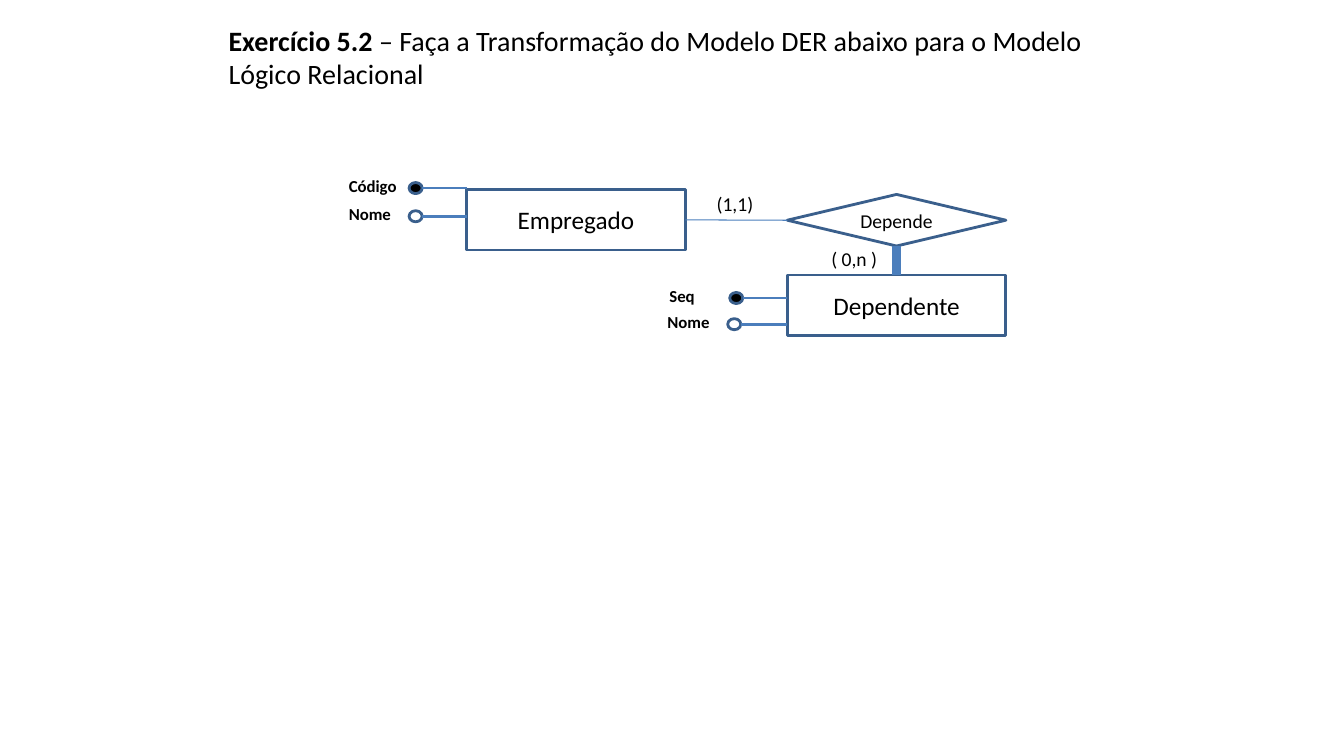
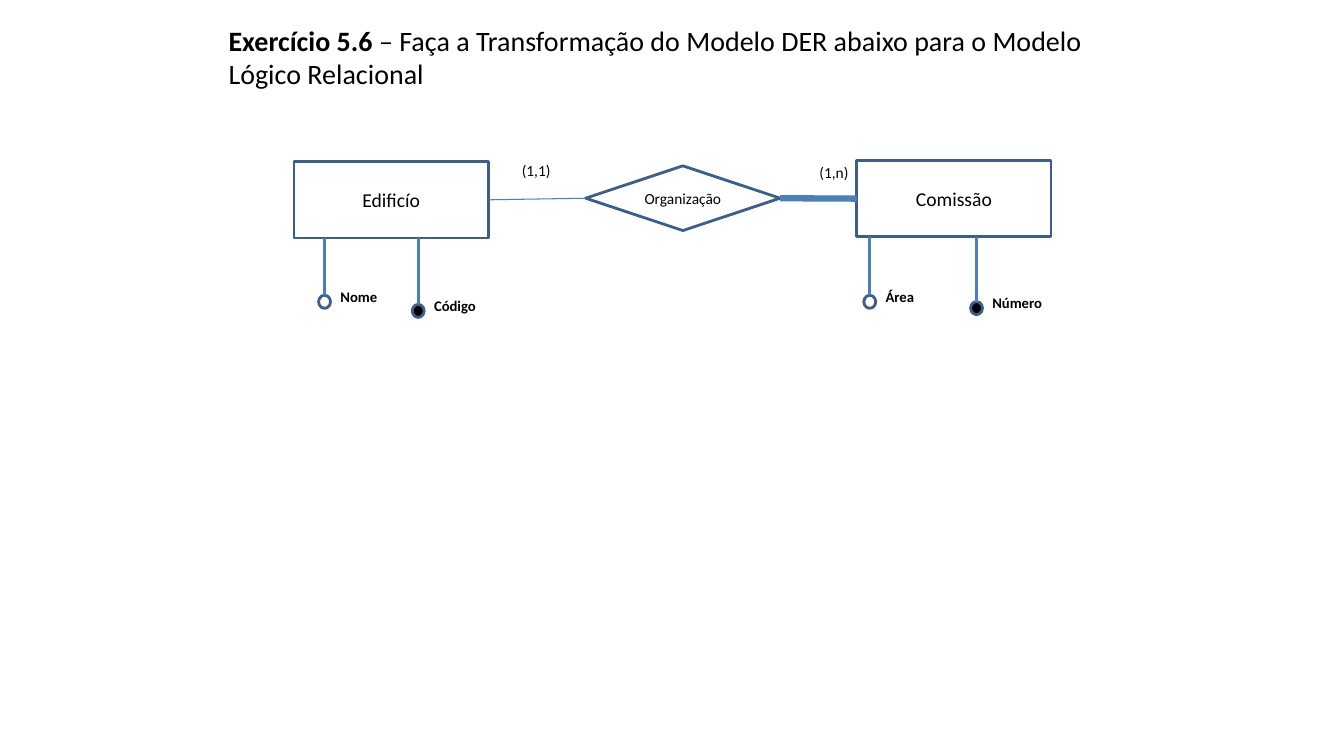
from dataclasses import dataclass

from lxml.etree import SubElement
from pptx import Presentation
from pptx.dml.color import RGBColor
from pptx.enum.shapes import MSO_CONNECTOR, MSO_SHAPE
from pptx.enum.text import MSO_ANCHOR, PP_ALIGN
from pptx.oxml.ns import qn
from pptx.util import Cm, Pt

TOP, LEFT, BOTTOM, RIGHT = range(4)


@dataclass(frozen=True)
class Theme:
    """Colours, font, type sizes and line widths of the deck."""
    font: str = "Calibri"
    ink: RGBColor = RGBColor(0, 0, 0)
    paper: RGBColor = RGBColor(255, 255, 255)
    outline: RGBColor = RGBColor(0x3A, 0x5F, 0x8C)
    link: RGBColor = RGBColor(0x4B, 0x7E, 0xBC)
    title: float = 20
    border: float = 2
    thin: float = 0.75


@dataclass(frozen=True)
class Scale:
    """Type sizes and attribute geometry of one diagram, in points and centimetres."""
    entity: float
    relation: float
    cardinality: float
    attribute: float
    dot: tuple
    label_offset: tuple


THEME = Theme()
SIDE = Scale(18, 14, 14, 12, (0.33, 0.28), (-1.77, -0.3))
BELOW = Scale(14, 11, 11, 10.5, (0.3, 0.33), (0.3, -0.31))


def assign(target, values):
    """Set each named attribute of the target."""
    for name, value in values.items():
        setattr(target, name, value)


def write(para, text, size, bold=False):
    """Append a formatted span to a paragraph."""
    span = para.add_run()
    span.text = text
    assign(span.font, {"name": THEME.font, "size": Pt(size), "bold": bold})
    span.font.color.rgb = THEME.ink


def add_text(page, left, top, width, height, spans, size, anchor=MSO_ANCHOR.TOP):
    """Add a left-aligned text box made of (text, bold) spans."""
    box = page.shapes.add_textbox(Cm(left), Cm(top), Cm(width), Cm(height))
    assign(box.text_frame, {"word_wrap": True, "vertical_anchor": anchor, "margin_right": 0})
    for text, bold in spans:
        write(box.text_frame.paragraphs[0], text, size, bold)


def add_outlined(page, kind, left, top, width, height, fill=None):
    """Add an outlined shape, filled only when a colour is given."""
    shape = page.shapes.add_shape(kind, Cm(left), Cm(top), Cm(width), Cm(height))
    shape.shadow.inherit = False
    shape.line.color.rgb = THEME.outline
    shape.line.width = Pt(THEME.border)
    if fill is None:
        shape.fill.background()
    else:
        shape.fill.solid()
        shape.fill.fore_color.rgb = fill
    return shape


def add_node(page, kind, text, bounds, size):
    """Add an entity or a relationship with its centred name."""
    node = add_outlined(page, kind, *bounds, THEME.paper)
    margins = {f"margin_{side}": 0 for side in ("left", "top", "right", "bottom")}
    assign(node.text_frame, {"word_wrap": True, "vertical_anchor": MSO_ANCHOR.MIDDLE, **margins})
    para = node.text_frame.paragraphs[0]
    para.alignment = PP_ALIGN.CENTER
    write(para, text, size)
    return node


def add_line(page, start, end, width):
    """Add a straight line between two points."""
    line = page.shapes.add_connector(MSO_CONNECTOR.STRAIGHT, *start, *end)
    line.line.color.rgb = THEME.link
    line.line.width = Pt(width)
    SubElement(line._element.spPr, qn("a:effectLst"))
    return line


def add_link(page, start, start_side, end, end_side, width):
    """Join the sides of two nodes."""
    line = add_line(page, (0, 0), (0, 0), width)
    line.begin_connect(start, start_side)
    line.end_connect(end, end_side)


def add_attribute(page, entity, text, left, top, scale, key=False):
    """Add an attribute dot, its label and its line to the entity."""
    width, height = scale.dot
    dot = add_outlined(page, MSO_SHAPE.FLOWCHART_CONNECTOR, left, top, width, height,
                       THEME.ink if key else None)
    middle_x, middle_y = dot.left + dot.width // 2, dot.top + dot.height // 2
    if scale is SIDE:
        start, end = (dot.left + dot.width, middle_y), (entity.left, middle_y)
    else:
        start, end = (middle_x, dot.top), (middle_x, entity.top + entity.height)
    add_line(page, start, end, THEME.border)
    shift_x, shift_y = scale.label_offset
    add_text(page, left + shift_x, top + shift_y, 1.75, 0.75, [(text, True)], scale.attribute)


def add_cardinality(page, text, left, top, scale):
    """Add the cardinality beside a link."""
    add_text(page, left, top, 1.75, 0.8, [(text, False)], scale.cardinality)


def add_page(deck, number):
    """Add a blank page with the exercise heading."""
    page = deck.slides.add_slide(deck.slide_layouts[6])
    request = " – Faça a Transformação do Modelo DER abaixo para o Modelo Lógico Relacional"
    add_text(page, 5.51, 0.33, 22.86, 2.21, [(f"Exercício {number}", True), (request, False)],
             THEME.title, MSO_ANCHOR.MIDDLE)
    return page


def draw_dependents(page):
    """Draw the employee and dependent diagram."""
    employee = add_node(page, MSO_SHAPE.RECTANGLE, "Empregado", (11.76, 4.78, 5.51, 1.52), SIDE.entity)
    dependent = add_node(page, MSO_SHAPE.RECTANGLE, "Dependente", (19.84, 6.93, 5.51, 1.52), SIDE.entity)
    depends = add_node(page, MSO_SHAPE.FLOWCHART_DECISION, "Depende", (19.84, 4.9, 5.51, 1.3), SIDE.relation)
    add_link(page, employee, RIGHT, depends, LEFT, THEME.thin)
    add_link(page, depends, BOTTOM, dependent, TOP, 6)
    add_cardinality(page, "(1,1)", 17.81, 4.72, SIDE)
    add_cardinality(page, "( 0,n )", 20.7, 6.1, SIDE)
    for entity, text, left, top, key in (
        (employee, "Código", 10.31, 4.6, True),
        (employee, "Nome", 10.31, 5.31, False),
        (dependent, "Seq", 18.39, 7.37, True),
        (dependent, "Nome", 18.34, 8.03, False),
    ):
        add_attribute(page, entity, text, left, top, SIDE, key)


def draw_committees(page):
    """Draw the building and committee diagram."""
    building = add_node(page, MSO_SHAPE.RECTANGLE, "Edificío", (7.41, 4.07, 4.9, 1.93), BELOW.entity)
    committee = add_node(page, MSO_SHAPE.RECTANGLE, "Comissão", (21.59, 4.04, 4.9, 1.93), BELOW.entity)
    organises = add_node(page, MSO_SHAPE.FLOWCHART_DECISION, "Organização", (14.76, 4.18, 4.9, 1.63),
                         BELOW.relation)
    add_link(page, building, RIGHT, organises, LEFT, THEME.thin)
    add_link(page, organises, RIGHT, committee, LEFT, 4.5)
    add_cardinality(page, "(1,1)", 12.9, 3.94, BELOW)
    add_cardinality(page, "(1,n)", 20.4, 3.99, BELOW)
    for entity, text, left, top, key in (
        (building, "Nome", 8.03, 7.44, False),
        (building, "Código", 10.39, 7.67, True),
        (committee, "Área", 21.77, 7.44, False),
        (committee, "Número", 24.46, 7.6, True),
    ):
        add_attribute(page, entity, text, left, top, BELOW, key)


def main():
    """Build and save the deck."""
    deck = Presentation()
    assign(deck, {"slide_width": Cm(33.87), "slide_height": Cm(19.05)})
    for number, draw in (("5.2", draw_dependents), ("5.6", draw_committees)):
        draw(add_page(deck, number))
    deck.save("out.pptx")


if __name__ == "__main__":
    main()
